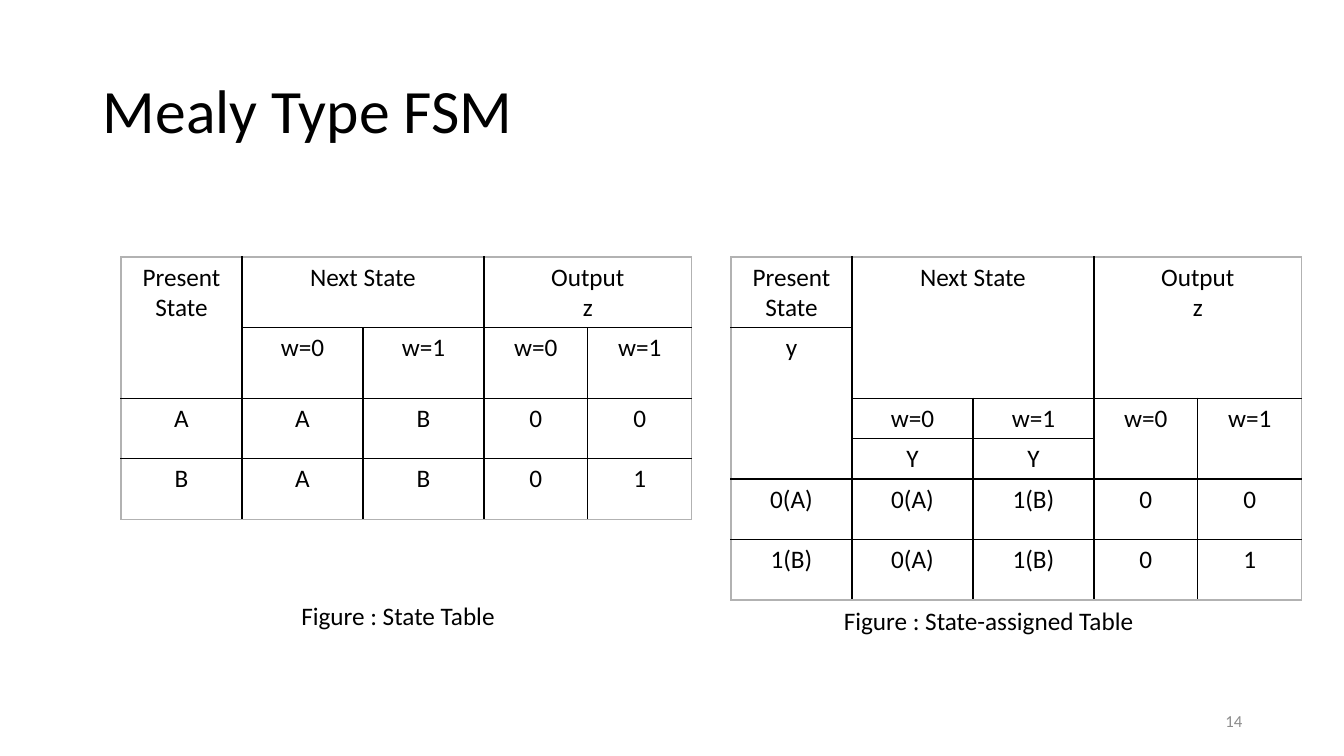
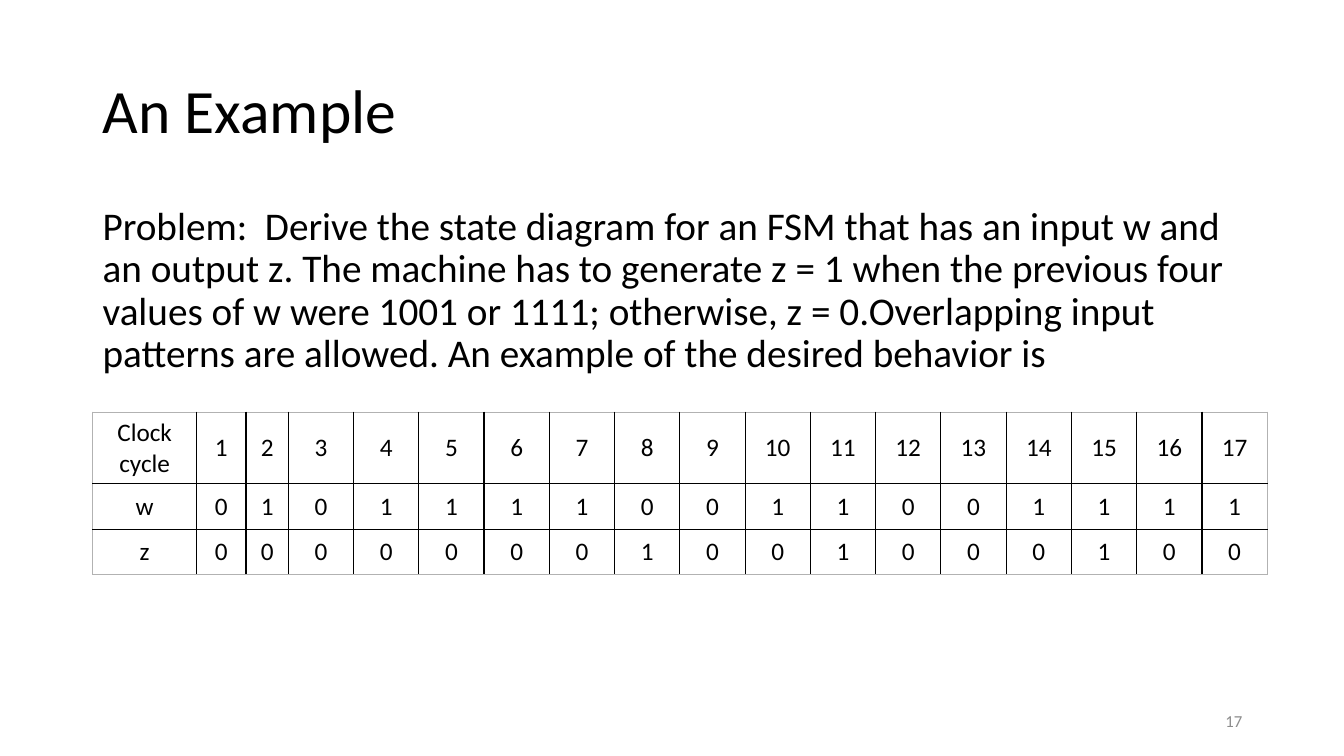
"""Build two slides on Mealy finite state machines with state and timing tables."""
from lxml.etree import SubElement
from pptx import Presentation
from pptx.dml.color import RGBColor
from pptx.enum.text import MSO_ANCHOR as Anchor, PP_ALIGN as Align
from pptx.oxml.ns import qn
from pptx.util import Inches, Pt

FONT, BLACK, GRAY, EDGE = "Calibri", "000000", "8C8C8C", "B2B2B2"
WIDTH, HEIGHT = 13.33, 7.5
MARGIN, CONTENT_WIDTH = 0.92, 11.5
TITLE_LAYOUT = 5

STATE_COLUMNS = [1.2] * 3 + [1.03] * 2
CYCLE_WIDTH, CYCLE_LABELS = 11.65, [1.03, 0.49, 0.42]
CYCLE_COLUMNS = CYCLE_LABELS + [(CYCLE_WIDTH - sum(CYCLE_LABELS)) / 15] * 15

PROBLEM = (
    "Problem:  Derive the state diagram for an FSM that has an input w and an output z. "
    "The machine has to generate z = 1 when the previous four values of w were 1001 or 1111; "
    "otherwise, z = 0.Overlapping input patterns are allowed. "
    "An example of the desired behavior is"
)

SLIDES = [
    {
        "title": "Mealy Type FSM",
        "number": "14",
        "texts": [
            ("Figure : State Table", (2.89, 5.91, 2.76, 0.71), 18, 1),
            ("Figure : State-assigned Table", (8.27, 5.96, 3.59, 0.71), 18, 1),
        ],
        "tables": [
            {
                "at": (1.2, 2.55),
                "columns": STATE_COLUMNS,
                "rows": [0.7, 0.7, 0.6, 0.6],
                "anchor": Anchor.TOP,
                "merges": [(0, 0, 1, 0), (0, 1, 0, 2), (0, 3, 0, 4)],
                "cells": [
                    ["Present State", "Next State", "", "Output\nz", ""],
                    ["", "w=0", "w=1", "w=0", "w=1"],
                    ["A", "A", "B", "0", "0"],
                    ["B", "A", "B", "0", "1"],
                ],
            },
            {
                "at": (7.25, 2.55),
                "columns": STATE_COLUMNS,
                "rows": [0.7, 0.7, 0.4, 0.4, 0.6, 0.6],
                "anchor": Anchor.TOP,
                "merges": [(0, 1, 1, 2), (0, 3, 1, 4), (1, 0, 3, 0), (2, 3, 3, 3), (2, 4, 3, 4)],
                "cells": [
                    ["Present State", "Next State", "", "Output\nz", ""],
                    ["y", "", "", "", ""],
                    ["", "w=0", "w=1", "w=0", "w=1"],
                    ["", "Y", "Y", "", ""],
                    ["0(A)", "0(A)", "1(B)", "0", "0"],
                    ["1(B)", "0(A)", "1(B)", "0", "1"],
                ],
            },
        ],
    },
    {
        "title": "An Example",
        "number": "17",
        "texts": [(PROBLEM, (MARGIN, 2, CONTENT_WIDTH, 2), 28, 0.9)],
        "tables": [
            {
                "at": (MARGIN, 4.09),
                "columns": CYCLE_COLUMNS,
                "rows": [0.71, 0.45, 0.45],
                "anchor": Anchor.MIDDLE,
                "merges": [],
                "cells": [
                    ["Clock cycle", *map(str, range(1, 18))],
                    ["w", *"01011110011001111"],
                    ["z", *"00000001001000100"],
                ],
            },
        ],
    },
]


def color(value):
    return RGBColor.from_string(value)


def format_text(frame, size, align=Align.LEFT, fill=BLACK, spacing=1):
    for paragraph in frame.paragraphs:
        paragraph.alignment = align
        paragraph.line_spacing = spacing
        font = paragraph.font
        font.name, font.size = FONT, Pt(size)
        font.color.rgb = color(fill)


def add_text(slide, text, box, size, spacing=1, align=Align.LEFT, fill=BLACK, anchor=Anchor.TOP):
    frame = slide.shapes.add_textbox(*map(Inches, box)).text_frame
    frame.word_wrap = True
    frame.vertical_anchor = anchor
    frame.text = text
    format_text(frame, size, align, fill, spacing)


def add_title(slide, text):
    title = slide.shapes.title
    title.left, title.top, title.width, title.height = map(Inches, (MARGIN, 0.4, CONTENT_WIDTH, 1.45))
    title.text_frame.text = text
    title.text_frame.vertical_anchor = Anchor.MIDDLE
    format_text(title.text_frame, 44, spacing=0.9)


def set_border(cell, side, line_color):
    line = SubElement(cell._tc.get_or_add_tcPr(), qn(f"a:{side}"), w=str(Pt(1)))
    if line_color is None:
        SubElement(line, qn("a:noFill"))
    else:
        SubElement(SubElement(line, qn("a:solidFill")), qn("a:srgbClr"), val=line_color)


def draw_borders(table, row, column, owners):
    cell = table.cell(row, column)
    height, width = (cell.span_height, cell.span_width) if cell.is_merge_origin else (1, 1)
    neighbors = {
        "lnL": (row, column - 1),
        "lnR": (row, column + width),
        "lnT": (row - 1, column),
        "lnB": (row + height, column),
    }
    for side, neighbor in neighbors.items():
        if neighbor not in owners:
            line_color = EDGE
        else:
            line_color = None if owners[neighbor] == owners[row, column] else BLACK
        set_border(cell, side, line_color)


def add_grid(slide, at, columns, rows, anchor, merges, cells):
    size = (sum(columns), sum(rows))
    table = slide.shapes.add_table(len(rows), len(columns), *map(Inches, at + size)).table
    table.first_row = table.horz_banding = False
    for column, width in zip(table.columns, columns):
        column.width = Inches(width)
    for row, height in zip(table.rows, rows):
        row.height = Inches(height)
    owners = {(r, c): (r, c) for r in range(len(rows)) for c in range(len(columns))}
    for top, left, bottom, right in merges:
        table.cell(top, left).merge(table.cell(bottom, right))
        for r in range(top, bottom + 1):
            for c in range(left, right + 1):
                owners[r, c] = (top, left)
    for r, c in owners:
        cell = table.cell(r, c)
        draw_borders(table, r, c, owners)
        cell.fill.background()
        cell.vertical_anchor = anchor
        cell.text = cells[r][c]
        format_text(cell.text_frame, 18, Align.CENTER)


def main():
    presentation = Presentation()
    presentation.slide_width, presentation.slide_height = Inches(WIDTH), Inches(HEIGHT)
    for content in SLIDES:
        slide = presentation.slides.add_slide(presentation.slide_layouts[TITLE_LAYOUT])
        add_title(slide, content["title"])
        for text in content["texts"]:
            add_text(slide, *text)
        for table in content["tables"]:
            add_grid(slide, **table)
        add_text(slide, content["number"], (9.42, 6.95, 3, 0.4), 12,
                 align=Align.RIGHT, fill=GRAY, anchor=Anchor.MIDDLE)
    presentation.save("out.pptx")


if __name__ == "__main__":
    main()
